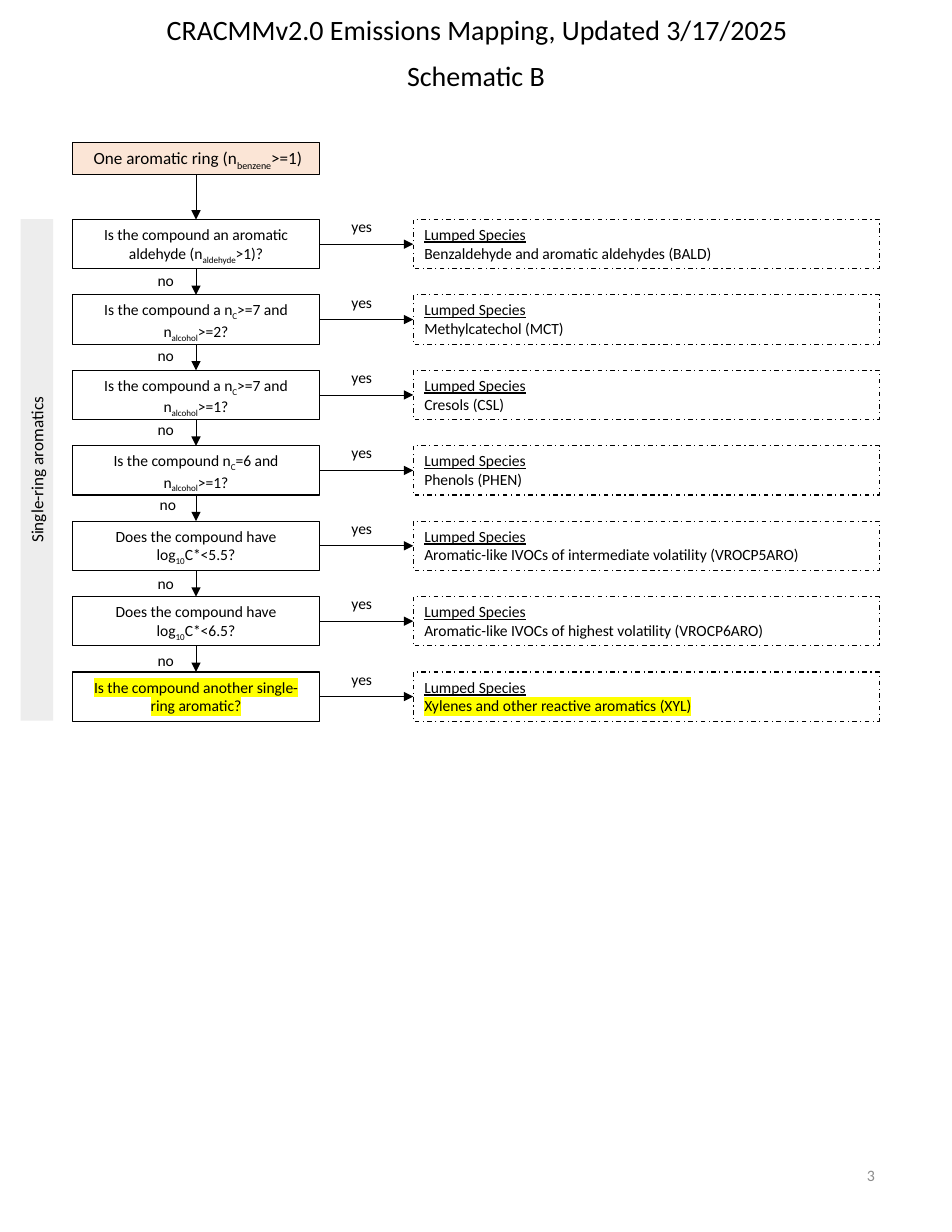
from lxml import etree
from pptx import Presentation
from pptx.dml.color import RGBColor
from pptx.enum.dml import MSO_LINE
from pptx.enum.shapes import MSO_CONNECTOR, MSO_SHAPE
from pptx.enum.text import MSO_ANCHOR, PP_ALIGN
from pptx.oxml.ns import qn
from pptx.util import Inches, Pt

LEFT, CENTER, RIGHT = PP_ALIGN.LEFT, PP_ALIGN.CENTER, PP_ALIGN.RIGHT
TOP, MIDDLE = MSO_ANCHOR.TOP, MSO_ANCHOR.MIDDLE
RECTANGLE, STRAIGHT = MSO_SHAPE.RECTANGLE, MSO_CONNECTOR.STRAIGHT
DASH_DOT = MSO_LINE.DASH_DOT

COLORS = {"ink": "000000", "start": "FBE5D6", "band": "EDEDED",
          "mark": "FFFF00", "page_number": "8C8C8C"}

# Flow grid, in inches
QUESTION_LEFT, QUESTION_WIDTH = 0.65, 2.2
SPECIES_LEFT, SPECIES_WIDTH = 3.69, 4.16
QUESTION_RIGHT = QUESTION_LEFT + QUESTION_WIDTH
AXIS = QUESTION_LEFT + QUESTION_WIDTH / 2
FIRST_TOP, LAST_TOP, BOX_HEIGHT = 1.96, 6.0, 0.44
START_TOP, START_HEIGHT = 1.27, 0.29

# Question (subscripts between bars), lumped species, highlighted or not
STEPS = [
    ("Is the compound an aromatic aldehyde (n|aldehyde|>1)?",
     "Benzaldehyde and aromatic aldehydes (BALD)", False),
    ("Is the compound a n|C|>=7 and n|alcohol|>=2?", "Methylcatechol (MCT)", False),
    ("Is the compound a n|C|>=7 and n|alcohol|>=1?", "Cresols (CSL)", False),
    ("Is the compound n|C|=6 and n|alcohol|>=1?", "Phenols (PHEN)", False),
    ("Does the compound have log|10|C*<5.5?",
     "Aromatic-like IVOCs of intermediate volatility (VROCP5ARO)", False),
    ("Does the compound have log|10|C*<6.5?",
     "Aromatic-like IVOCs of highest volatility (VROCP6ARO)", False),
    ("Is the compound another single-ring aromatic?",
     "Xylenes and other reactive aromatics (XYL)", True),
]
PITCH = (LAST_TOP - FIRST_TOP) / (len(STEPS) - 1)

# Left and top of each "no" label
NO_LABELS = [(1.24, 2.37), (1.24, 3.04), (1.24, 3.7),
             (1.26, 4.37), (1.24, 5.08), (1.24, 5.76)]


class Schematic:
    """Draws flow chart parts on one page in a shared style."""

    font = "Calibri"

    def __init__(self, page):
        self.page = page

    def color(self, name):
        return RGBColor.from_string(COLORS[name])

    def add_spans(self, para, text, size, color="ink", underline=False, marked=False):
        """Add runs; every second part between bars is a subscript."""
        for index, part in enumerate(text.split("|")):
            span = para.add_run()
            span.text = part
            font = span.font
            font.size = Pt(size)
            font.color.rgb = self.color(color)
            font.name = self.font
            if underline:
                font.underline = True
            properties = span._r.get_or_add_rPr()
            if index % 2:
                properties.set("baseline", "-25000")
            if marked:
                highlight = etree.Element(qn("a:highlight"))
                etree.SubElement(highlight, qn("a:srgbClr"), val=COLORS["mark"])
                properties.find(qn("a:latin")).addprevious(highlight)

    def box(self, left, top, width, height, fill=None, outline=True, dash=None):
        box = self.page.shapes.add_shape(
            RECTANGLE, Inches(left), Inches(top), Inches(width), Inches(height))
        box.shadow.inherit = False
        if fill:
            box.fill.solid()
            box.fill.fore_color.rgb = self.color(fill)
        else:
            box.fill.background()
        if outline:
            box.line.color.rgb = self.color("ink")
            box.line.width = Pt(0.75)
            if dash:
                box.line.dash_style = dash
        else:
            box.line.fill.background()
        box.text_frame.word_wrap = True
        box.text_frame.vertical_anchor = TOP
        return box

    def caption_box(self, left, top, width, height, text, size=10, marked=False, **style):
        box = self.box(left, top, width, height, **style)
        para = box.text_frame.paragraphs[0]
        para.alignment = CENTER
        self.add_spans(para, text, size, marked=marked)
        return box

    def species_box(self, top, species, marked):
        box = self.box(SPECIES_LEFT, top, SPECIES_WIDTH, BOX_HEIGHT, dash=DASH_DOT)
        heading = box.text_frame.paragraphs[0]
        detail = box.text_frame.add_paragraph()
        heading.alignment = detail.alignment = LEFT
        self.add_spans(heading, "Lumped Species", 10, underline=True)
        self.add_spans(detail, species, 10, marked=marked)

    def label(self, left, top, width, height, text, size=10, align=CENTER,
              color="ink", anchor=TOP):
        box = self.page.shapes.add_textbox(
            Inches(left), Inches(top), Inches(width), Inches(height))
        box.text_frame.word_wrap = True
        box.text_frame.vertical_anchor = anchor
        para = box.text_frame.paragraphs[0]
        para.alignment = align
        self.add_spans(para, text, size, color)

    def arrow(self, x1, y1, x2, y2):
        arrow = self.page.shapes.add_connector(
            STRAIGHT, Inches(x1), Inches(y1), Inches(x2), Inches(y2))
        arrow.line.color.rgb = self.color("ink")
        arrow.line.width = Pt(0.5)
        properties = arrow._element.spPr
        etree.SubElement(properties.find(qn("a:ln")), qn("a:tailEnd"), type="triangle")
        etree.SubElement(properties, qn("a:effectLst"))


def main():
    deck = Presentation()
    deck.slide_width, deck.slide_height = Inches(8.5), Inches(11)
    chart = Schematic(deck.slides.add_slide(deck.slide_layouts[6]))

    # Titles
    chart.label(1.39, 0.06, 5.88, 0.4, "CRACMMv2.0 Emissions Mapping, Updated 3/17/2025",
                size=18, align=LEFT)
    chart.label(2.58, 0.47, 3.34, 0.4, "Schematic B", size=18)

    # Side band, turned to read upwards
    band = chart.caption_box(-1.91, 4.05, 4.48, 0.29, "Single-ring aromatics",
                             size=11, fill="band", outline=False)
    band.rotation = 270

    # Starting point
    chart.caption_box(QUESTION_LEFT, START_TOP, QUESTION_WIDTH, START_HEIGHT,
                      " One aromatic ring (n|benzene|>=1)", size=11, fill="start")

    # Questions with their outcomes, each reached from the box above
    above = START_TOP + START_HEIGHT
    for row, (question, species, marked) in enumerate(STEPS):
        top = FIRST_TOP + row * PITCH
        middle = top + BOX_HEIGHT / 2
        chart.arrow(AXIS, above, AXIS, top)
        chart.caption_box(QUESTION_LEFT, top, QUESTION_WIDTH, BOX_HEIGHT,
                          question, marked=marked)
        chart.arrow(QUESTION_RIGHT, middle, SPECIES_LEFT, middle)
        chart.species_box(top, species, marked)
        chart.label(2.99, top - 0.07, 0.48, 0.27, "yes")
        above = top + BOX_HEIGHT

    for left, top in NO_LABELS:
        chart.label(left, top, 0.41, 0.27, "no", align=RIGHT)

    # Page number
    chart.label(6, 10.2, 1.91, 0.59, "3", size=10.2, align=RIGHT,
                color="page_number", anchor=MIDDLE)

    deck.save("out.pptx")


if __name__ == "__main__":
    main()
